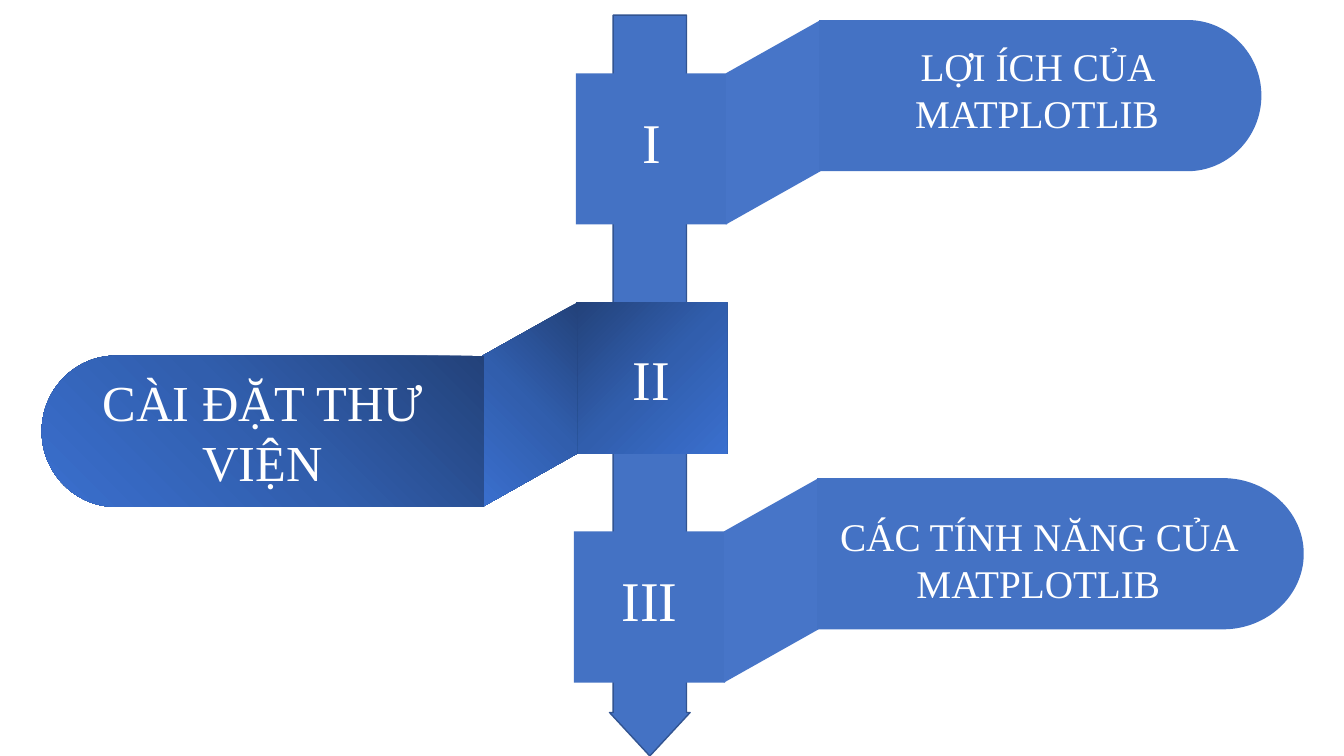
import copy

import pptx
import pptx.dml.color
import pptx.enum.shapes
import pptx.enum.text
import pptx.oxml
import pptx.oxml.ns
import pptx.util

COLORS = {
    "blue": "4472C4",
    "link": "4775C8",
    "outline": "325491",
    "dark": "23427A",
    "medium": "315EAD",
    "light": "3A6FCE",
    "white": "FFFFFF",
}
FONT = "Times New Roman"

presentation = pptx.Presentation()
presentation.slide_width = pptx.util.Inches(13.33)
presentation.slide_height = pptx.util.Inches(7.5)
width, height = presentation.slide_width, presentation.slide_height
slide = presentation.slides.add_slide(presentation.slide_layouts[6])
shapes = slide.shapes


def paint(shape, color, angle=None):
    shape.shadow.inherit = False
    shape.line.fill.background()
    if angle is None:
        shape.fill.solid()
        shape.fill.fore_color.rgb = pptx.dml.color.RGBColor.from_string(COLORS[color])
        return
    shape.fill.gradient()
    shape.fill.gradient_angle = angle
    stop_list = shape._element.spPr.find(".//" + pptx.oxml.ns.qn("a:gsLst"))
    stop_list.insert(1, copy.deepcopy(stop_list[0]))
    for stop, name, position in zip(shape.fill.gradient_stops, ("dark", "medium", "light"), (0, 0.5, 1)):
        stop.color.rgb = pptx.dml.color.RGBColor.from_string(COLORS[name])
        stop.position = position


def write(shape, text, size, anchor):
    frame = shape.text_frame
    frame.word_wrap = True
    frame.vertical_anchor = anchor
    paragraph = frame.paragraphs[0]
    paragraph.text = text
    paragraph.alignment = pptx.enum.text.PP_ALIGN.CENTER
    paragraph.font.name = FONT
    paragraph.font.size = pptx.util.Pt(size)
    paragraph.font.color.rgb = pptx.dml.color.RGBColor.from_string(COLORS["white"])


top_anchor = pptx.enum.text.MSO_ANCHOR.TOP
middle_anchor = pptx.enum.text.MSO_ANCHOR.MIDDLE

arrow = shapes.add_shape(
    pptx.enum.shapes.MSO_SHAPE.DOWN_ARROW,
    int(width * 0.4535), int(height * 0.02), int(width * 0.06), int(height * 0.98),
)
arrow.adjustments[0] = 0.91
arrow.adjustments[1] = 0.54
paint(arrow, "blue")
arrow.line.color.rgb = pptx.dml.color.RGBColor.from_string(COLORS["outline"])
arrow.line.width = pptx.util.Pt(1)

side = height * 0.2
step = height * 0.303
first_top = height * 0.097
rise = height * 0.0705
run = width * 0.0685
overlap = width * 0.001

sections = [
    ("I", "LỢI ÍCH CỦA MATPLOTLIB", 28, 1, 0.4285, 0.329, 0.055, (0.624, 0.049, 0.295), (None, None)),
    ("II", "CÀI ĐẶT THƯ VIỆN", 36, -1, 0.4285, 0.329, 0.055, None, (315, 225)),
    ("III", "CÁC TÍNH NĂNG CỦA MATPLOTLIB", 28, 1, 0.427, 0.362, 0.06, (0.607, 0.671, 0.331), (None, None)),
]

for row, (numeral, title, size, direction, left, length, curve, title_area, angles) in enumerate(sections):
    tile_left = width * left
    tile_top = first_top + row * step
    tile_bottom = tile_top + side
    near = tile_left + (side if direction > 0 else 0)
    far = near + direction * run
    banner_top = tile_top - direction * rise
    banner_bottom = banner_top + side
    banner_middle = banner_top + side / 2
    tip = far + direction * width * length
    curve_start = tip - direction * width * curve
    control_x = curve_start + direction * width * curve * 0.55
    control_y = side / 2 * 0.55

    tile = shapes.add_shape(
        pptx.enum.shapes.MSO_SHAPE.RECTANGLE, int(tile_left), int(tile_top), int(side), int(side)
    )
    paint(tile, "blue", angles[0])
    write(tile, numeral, 40, middle_anchor)
    if direction > 0:
        tile.text_frame.margin_bottom = pptx.util.Inches(0.21)

    inner = near - direction * overlap
    outer = far + direction * overlap
    link_points = [(inner, tile_top), (outer, banner_top), (outer, banner_bottom), (inner, tile_bottom)]
    banner_points = [
        (far, banner_top),
        (curve_start, banner_top),
        (control_x, banner_top),
        (tip, banner_middle - control_y),
        (tip, banner_middle),
        (tip, banner_middle + control_y),
        (control_x, banner_bottom),
        (curve_start, banner_bottom),
        (far, banner_bottom),
    ]
    for points, color in ((link_points, "link"), (banner_points, "blue")):
        builder = shapes.build_freeform(int(points[0][0]), int(points[0][1]))
        builder.add_line_segments([(int(x), int(y)) for x, y in points[1:]], close=True)
        banner = builder.convert_to_shape()
        paint(banner, color, angles[1])

    segments = banner._element.spPr.findall(".//" + pptx.oxml.ns.qn("a:lnTo"))
    for first in (1, 4):
        cubic = pptx.oxml.parse_xml("<a:cubicBezTo %s/>" % pptx.oxml.ns.nsdecls("a"))
        segments[first].addprevious(cubic)
        for segment in segments[first:first + 3]:
            cubic.append(segment[0])
            segment.getparent().remove(segment)

    if title_area is None:
        write(banner, title, size, middle_anchor)
    else:
        title_left, title_top, title_width = title_area
        title_box = shapes.add_textbox(
            int(width * title_left), int(height * title_top),
            int(width * title_width), int(height * 0.139),
        )
        write(title_box, title, size, top_anchor)

presentation.save("out.pptx")
